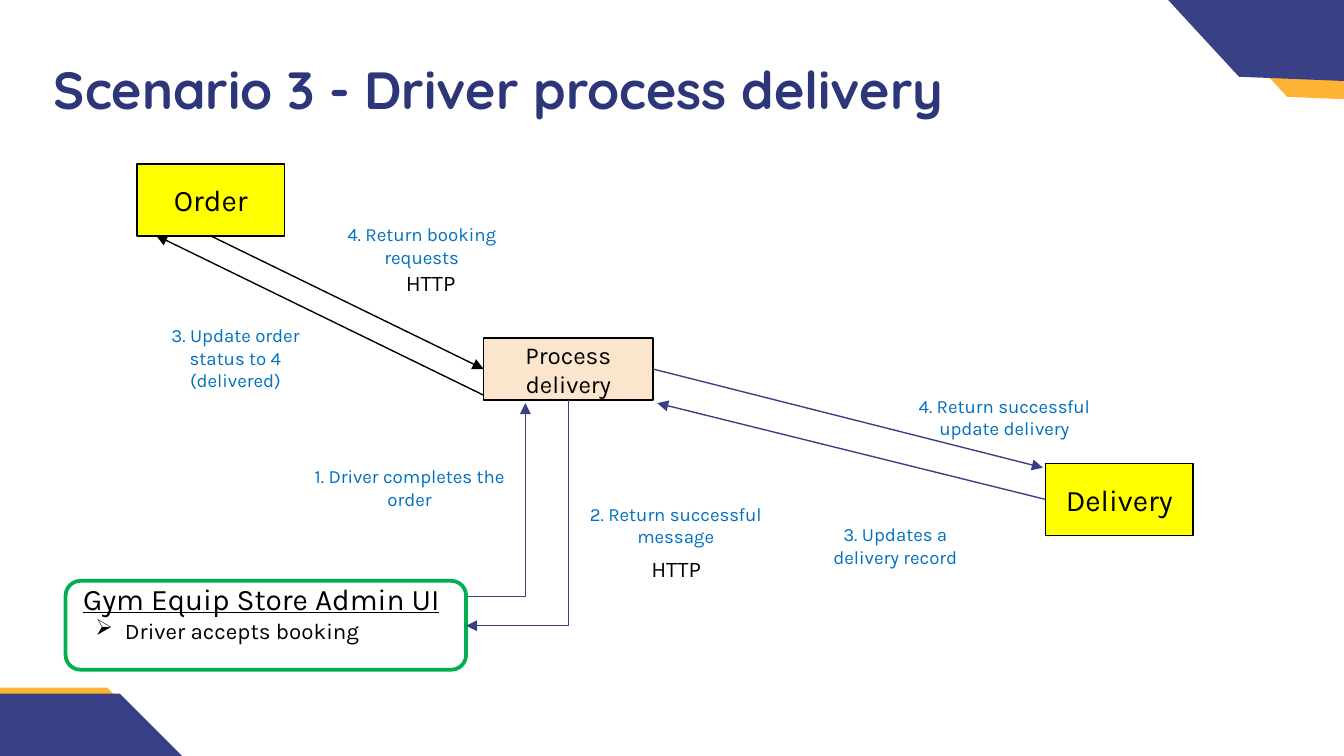
"""Build the slide showing how a driver processes a delivery."""
from dataclasses import dataclass
from itertools import chain
from typing import Optional

from lxml.etree import SubElement
from pptx import Presentation
from pptx.dml.color import RGBColor
from pptx.enum.shapes import MSO_CONNECTOR as Link, MSO_SHAPE as Preset
from pptx.enum.text import MSO_ANCHOR as Anchor, PP_ALIGN as Align
from pptx.oxml.ns import qn
from pptx.util import Cm, Pt

COLORS = {
    "navy": "384086", "amber": "FDB334", "title": "2E367A", "black": "000000",
    "blue": "0070C0", "green": "00B050", "yellow": "FFFF00", "peach": "FCE5CD",
}
TOP, LEFT, BOTTOM, RIGHT = range(4)
WAVE_UNIT = Cm(2.54)
WAVE_START = (1.4, 0)
WAVE_CURVES = [
    ((1.71, 0), (2.07, 0.07), (2.41, 0.3)),
    ((2.82, 0.59), (3.07, 0.66), (3.29, 0.66)),
    ((3.57, 0.66), (3.81, 0.53), (4.33, 0.53)),
    ((4.34, 0.53), (4.36, 0.53), (4.38, 0.53)),
    ((4.65, 0.54), (4.86, 0.6), (5.01, 0.69)),
    ((5.43, 0.95), (5.51, 1.54), (5.16, 1.88)),
    ((5.06, 1.98), (4.94, 2.05), (4.78, 2.05)),
    ((4.7, 2.05), (4.61, 2.03), (4.51, 1.99)),
    ((3.74, 1.65), (3.91, 1.71), (3.64, 1.6)),
    ((3.47, 1.53), (3.3, 1.49), (3.15, 1.49)),
    ((2.34, 1.49), (1.86, 2.43), (1.16, 2.43)),
    ((0.99, 2.43), (0.81, 2.37), (0.6, 2.23)),
    ((0.5, 2.16), (0, 1.75), (0, 1.08)),
    ((0, 0.82), (0.18, 0.56), (0.34, 0.39)),
    ((0.47, 0.25), (0.65, 0.14), (0.84, 0.08)),
    ((1, 0.03), (1.19, 0), WAVE_START),
]


@dataclass
class Wave:
    left: float
    top: float
    color: str
    rotation: float = 0


@dataclass
class Box:
    text: str
    left: float
    top: float
    width: float
    height: float
    fill: str
    size: int = 16


@dataclass
class Label:
    text: str
    left: float
    top: float
    width: float
    size: int = 10
    color: str = "blue"
    align: Align = Align.CENTER


@dataclass
class Arrow:
    start: tuple[float, float]
    end: tuple[float, float]
    color: str = "navy"
    begin_joint: Optional[tuple[str, int]] = None
    end_joint: Optional[tuple[str, int]] = None
    elbow: bool = False
    arrowhead: str = "tailEnd"


WAVES = [
    Wave(14.27, -3.35, "amber", 182.3), Wave(13.36, -3.73, "navy", 182.3),
    Wave(-3.05, 13, "amber"), Wave(-2.82, 13.11, "navy"),
]
BOXES = [
    Box("Order", 2.59, 3.1, 2.79, 1.36, "yellow"),
    Box("Delivery", 19.76, 8.76, 2.79, 1.36, "yellow"),
    Box("Process delivery", 9.14, 6.39, 3.2, 1.17, "peach", 13),
]
LABELS = [
    Label("3. Update order status to 4 (delivered)", 2.47, 6, 3.96),
    Label("4. Return booking requests", 6.27, 4.09, 3.4),
    Label("HTTP", 7.42, 4.96, 1.9, 12, "black", Align.LEFT),
    Label("HTTP", 12.06, 10.36, 1.9, 12, "black", Align.LEFT),
    Label("3. Updates a delivery record", 15.32, 9.76, 3.2),
    Label("2. Return successful message", 10.85, 9.38, 3.84),
    Label("1. Driver completes the order", 5.63, 8.67, 4.22),
    Label("4. Return successful update delivery", 16.87, 7.34, 4.22),
]
ARROWS = [
    Arrow((3.98, 4.45), (9.14, 6.98), "black", ("Order", BOTTOM), ("Process delivery", LEFT)),
    Arrow((9.14, 7.47), (2.95, 4.45), "black"),
    Arrow((12.34, 6.98), (19.71, 8.84), begin_joint=("Process delivery", RIGHT)),
    Arrow((19.76, 9.44), (12.42, 7.62), begin_joint=("Delivery", LEFT)),
    Arrow((8.84, 11.28), (9.93, 7.62), elbow=True),
    Arrow((8.81, 11.83), (10.74, 7.57), elbow=True, arrowhead="headEnd"),
]


def rgb(name: str) -> RGBColor:
    return RGBColor.from_string(COLORS[name])


def set_font(paragraph, size: float, color: str = "black", name: str = "Karla") -> None:
    font = paragraph.font
    font.name, font.size, font.color.rgb = name, Pt(size), rgb(color)


def draw_wave(slide, wave: Wave) -> None:
    builder = slide.shapes.build_freeform(*WAVE_START, scale=WAVE_UNIT)
    builder.add_line_segments(chain.from_iterable(WAVE_CURVES), close=True)
    shape = builder.convert_to_shape(Cm(wave.left), Cm(wave.top))
    segments = list(shape._element.iter(qn("a:lnTo")))
    for index in range(0, len(WAVE_CURVES) * 3, 3):
        curve = SubElement(segments[index].getparent(), qn("a:cubicBezTo"))
        segments[index].addprevious(curve)
        for segment in segments[index:index + 3]:
            curve.append(segment[0])
            segment.getparent().remove(segment)
    shape.shadow.inherit = False
    shape.fill.solid()
    shape.fill.fore_color.rgb = rgb(wave.color)
    shape.line.fill.background()
    shape.rotation = wave.rotation


def draw_box(slide, box: Box):
    shape = slide.shapes.add_shape(
        Preset.RECTANGLE, Cm(box.left), Cm(box.top), Cm(box.width), Cm(box.height))
    shape.shadow.inherit = False
    shape.fill.solid()
    shape.fill.fore_color.rgb = rgb(box.fill)
    shape.line.color.rgb, shape.line.width = rgb("black"), Pt(0.75)
    shape.text_frame.text = box.text
    shape.text_frame.word_wrap = True
    paragraph = shape.text_frame.paragraphs[0]
    paragraph.alignment = Align.CENTER
    set_font(paragraph, box.size)
    return shape


def draw_admin_panel(slide) -> None:
    shape = slide.shapes.add_shape(
        Preset.FLOWCHART_ALTERNATE_PROCESS, Cm(1.24), Cm(10.98), Cm(7.57), Cm(1.68))
    shape.shadow.inherit = False
    shape.fill.background()
    shape.line.color.rgb, shape.line.width = rgb("green"), Pt(2)
    frame = shape.text_frame
    frame.text = "Gym Equip Store Admin UI\nDriver accepts booking"
    frame.word_wrap, frame.vertical_anchor, frame.margin_top = True, Anchor.TOP, 0
    heading, step = frame.paragraphs
    for paragraph, size in ((heading, 16), (step, 12)):
        paragraph.alignment = Align.LEFT
        set_font(paragraph, size)
    heading.font.underline, heading.line_spacing = True, 0.88
    properties = step._p.get_or_add_pPr()
    properties.set("marL", str(Cm(0.79)))
    properties.set("indent", str(Cm(-0.56)))
    bullet = SubElement(properties, qn("a:buChar"), char="➢")
    properties.insert(0, bullet)


def draw_label(slide, label: Label) -> None:
    frame = slide.shapes.add_textbox(
        Cm(label.left), Cm(label.top), Cm(label.width), Cm(0.7)).text_frame
    frame.text, frame.word_wrap = label.text, True
    frame.paragraphs[0].alignment = label.align
    set_font(frame.paragraphs[0], label.size, label.color)


def draw_arrow(slide, arrow: Arrow, boxes: dict) -> None:
    connector = slide.shapes.add_connector(
        Link.ELBOW if arrow.elbow else Link.STRAIGHT, *map(Cm, arrow.start + arrow.end))
    if arrow.begin_joint:
        connector.begin_connect(boxes[arrow.begin_joint[0]], arrow.begin_joint[1])
    if arrow.end_joint:
        connector.end_connect(boxes[arrow.end_joint[0]], arrow.end_joint[1])
    connector.line.color.rgb, connector.line.width = rgb(arrow.color), Pt(0.75)
    properties = connector._element.spPr
    if arrow.elbow:
        properties.find(qn("a:prstGeom")).set("prst", "bentConnector2")
    SubElement(properties.find(qn("a:ln")), qn(f"a:{arrow.arrowhead}"), type="triangle")
    SubElement(properties, qn("a:effectLst"))


def draw_title(slide) -> None:
    title = slide.shapes.title
    title.left, title.top, title.width, title.height = map(Cm, (0.48, 0.46, 23.67, 2.44))
    frame = title.text_frame
    frame.text, frame.vertical_anchor, frame.margin_left = "Scenario 3 - Driver process delivery", Anchor.MIDDLE, Cm(0.54)
    paragraph = frame.paragraphs[0]
    paragraph.alignment, paragraph.font.bold = Align.LEFT, True
    set_font(paragraph, 28, "title", "Quicksand")


def main() -> None:
    presentation = Presentation()
    presentation.slide_width, presentation.slide_height = Cm(25.4), Cm(14.29)
    slide = presentation.slides.add_slide(presentation.slide_layouts[5])
    for wave in WAVES:
        draw_wave(slide, wave)
    draw_title(slide)
    draw_admin_panel(slide)
    boxes = {box.text: draw_box(slide, box) for box in BOXES}
    for arrow in ARROWS:
        draw_arrow(slide, arrow, boxes)
    for label in LABELS:
        draw_label(slide, label)
    presentation.save("out.pptx")


if __name__ == "__main__":
    main()
